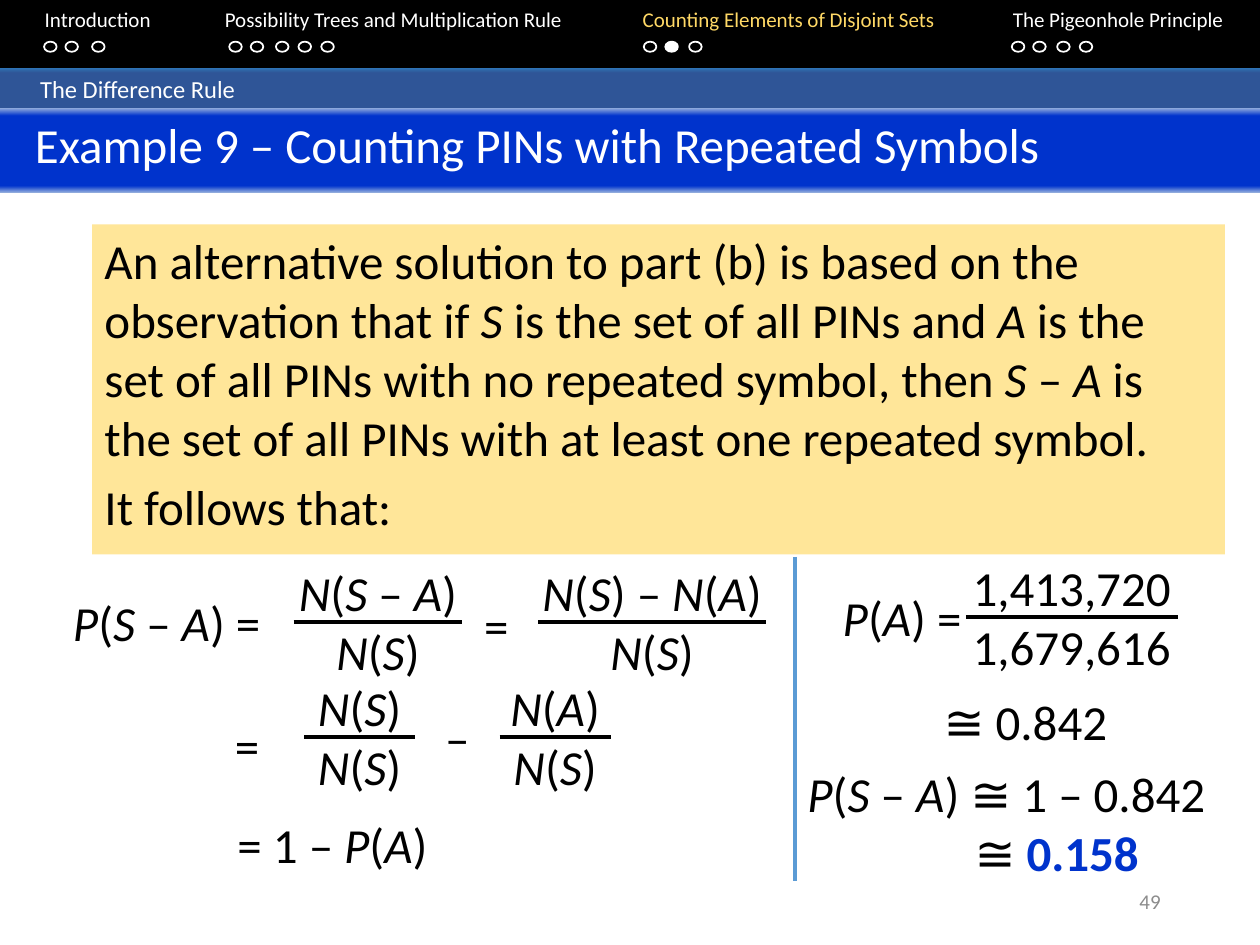
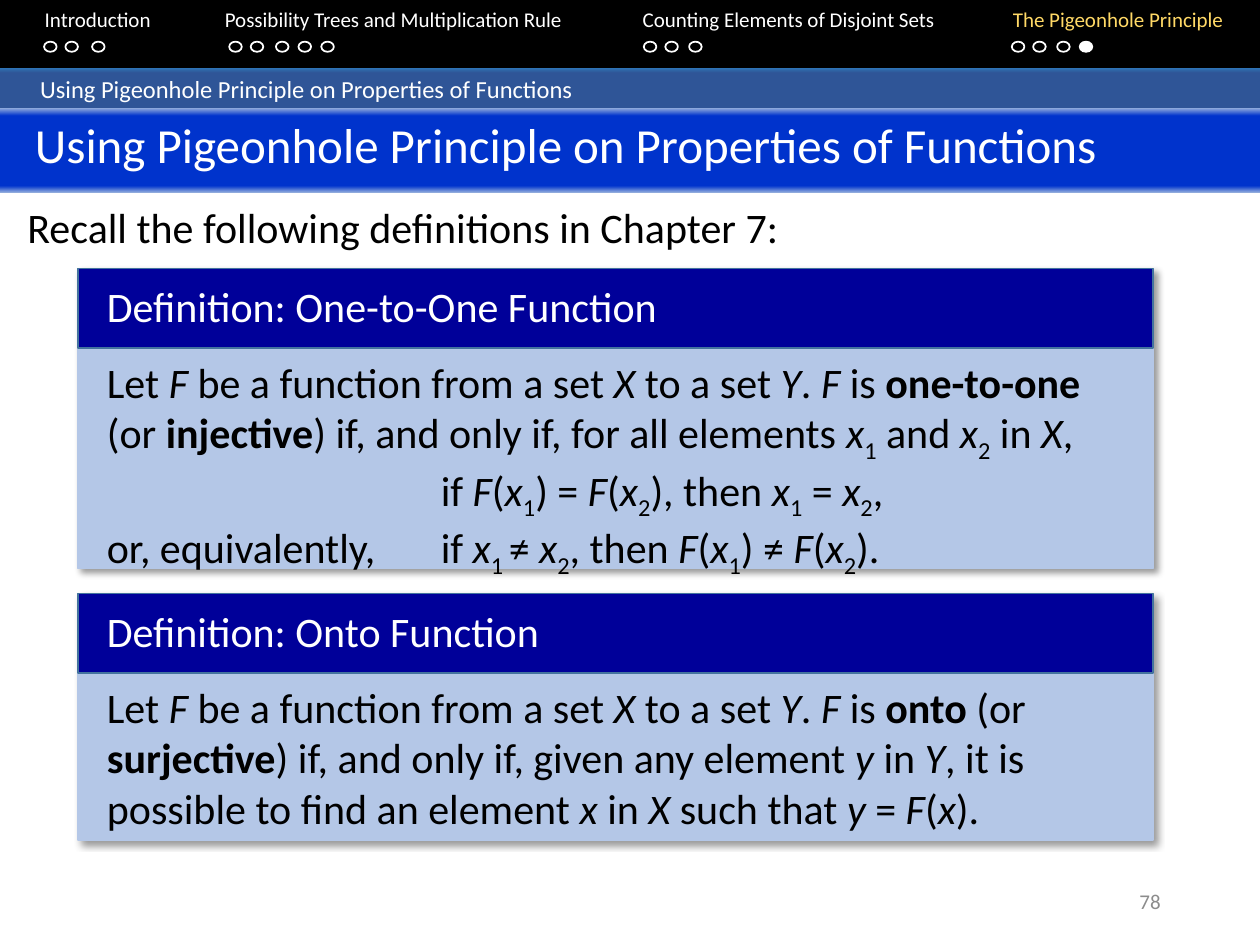
from lxml import etree
from pptx import Presentation
from pptx.dml.color import RGBColor
from pptx.enum.shapes import MSO_CONNECTOR, MSO_SHAPE
from pptx.enum.text import MSO_ANCHOR, PP_ALIGN
from pptx.oxml.ns import qn
from pptx.util import Pt

RECTANGLE, OVAL = MSO_SHAPE.RECTANGLE, MSO_SHAPE.OVAL
STRAIGHT = MSO_CONNECTOR.STRAIGHT
TOP, MIDDLE = MSO_ANCHOR.TOP, MSO_ANCHOR.MIDDLE
LEFT, CENTER, RIGHT = PP_ALIGN.LEFT, PP_ALIGN.CENTER, PP_ALIGN.RIGHT

BLACK = RGBColor(0x00, 0x00, 0x00)
WHITE = RGBColor(0xFF, 0xFF, 0xFF)
GRAY = RGBColor(0x8C, 0x8C, 0x8C)
GOLD = RGBColor(0xFF, 0xD9, 0x66)
CREAM = RGBColor(0xFF, 0xE6, 0x99)
ROYAL = RGBColor(0x00, 0x33, 0xCC)
PERIWINKLE = RGBColor(0x8F, 0xAA, 0xDC)
STEEL = RGBColor(0x2F, 0x55, 0x97)
STEEL_EDGE = RGBColor(0x2E, 0x75, 0xB6)
DIVIDER = RGBColor(0x5B, 0x9B, 0xD5)
NAVY = RGBColor(0x00, 0x00, 0x99)
NAVY_EDGE = RGBColor(0x43, 0x73, 0x9E)
PALE_BLUE = RGBColor(0xB4, 0xC7, 0xE7)

FONT = "Calibri"
WIDTH, HEIGHT = 720, 540
INSET = 7.2
MARKS = {"*": "italic", "^": "bold", "~": "subscript", "|": "accent"}
SECTIONS = [
    ("Introduction", (25.2, 37.4, 52.6)),
    ("Possibility Trees and Multiplication Rule", (131, 143.3, 157.7, 170.6, 183.6)),
    ("Counting Elements of Disjoint Sets", (367.9, 380.2, 393.8)),
    ("The Pigeonhole Principle", (578.2, 590.4, 604.1, 617)),
]
SECTION_TABS = (18.5, 121.4, 360.2, 571.7)


def add_element(parent, tag, **attributes):
    element = etree.SubElement(parent, qn(tag))
    for name, value in attributes.items():
        element.set(name, str(value))
    return element


def split_marks(text):
    """Yield each piece of text with the set of styles switched on by its marks."""
    active, piece = set(), ""
    for character in text:
        if character in MARKS:
            if piece:
                yield piece, set(active)
            piece = ""
            active ^= {MARKS[character]}
        else:
            piece += character
    if piece:
        yield piece, active


def write_text(shape, text, size=28, color=BLACK, accent=ROYAL, align=LEFT,
               anchor=TOP, inset=INSET, space_after=0, tabs=()):
    frame = shape.text_frame
    frame.word_wrap = True
    frame.vertical_anchor = anchor
    frame.margin_left = Pt(inset)
    for index, line in enumerate(text.split("\n")):
        paragraph = frame.add_paragraph() if index else frame.paragraphs[0]
        paragraph.alignment = align
        paragraph.space_after = Pt(space_after)
        if tabs:
            tab_list = add_element(paragraph._p.get_or_add_pPr(), "a:tabLst")
            for position in tabs:
                add_element(tab_list, "a:tab", pos=Pt(position), algn="l")
        for piece, styles in split_marks(line):
            run = paragraph.add_run()
            run.text = piece
            font = run.font
            font.name, font.size = FONT, Pt(size)
            font.italic = "italic" in styles
            font.bold = "bold" in styles
            font.color.rgb = accent if "accent" in styles else color
            if "subscript" in styles:
                run._r.get_or_add_rPr().set("baseline", "-25000")


class Deck:
    def __init__(self):
        self.presentation = Presentation()
        self.presentation.slide_width = Pt(WIDTH)
        self.presentation.slide_height = Pt(HEIGHT)
        self.slide = None

    def shape(self, left, top, width, height, fill=None, line=None, kind=RECTANGLE):
        shape = self.slide.shapes.add_shape(kind, Pt(left), Pt(top), Pt(width), Pt(height))
        shape.shadow.inherit = False
        if fill is None:
            shape.fill.background()
        else:
            shape.fill.solid()
            shape.fill.fore_color.rgb = fill
        if line is None:
            shape.line.fill.background()
        else:
            shape.line.color.rgb = line
            shape.line.width = Pt(1)
        return shape

    def text(self, text, left, top, width, height=41, **style):
        box = self.slide.shapes.add_textbox(Pt(left), Pt(top), Pt(width), Pt(height))
        write_text(box, text, **style)

    def line(self, start, end, color=BLACK):
        points = [Pt(value) for value in (*start, *end)]
        connector = self.slide.shapes.add_connector(STRAIGHT, *points)
        connector.line.color.rgb = color
        connector.line.width = Pt(2.25)
        add_element(connector._element.spPr, "a:effectLst")

    def band(self, text, top, height, edge, middle, stops, **style):
        band = self.shape(0, top, WIDTH, height, fill=middle)
        band.fill.gradient()
        band.fill.gradient_angle = 270
        stop_list = band._element.spPr.find(qn("a:gradFill")).find(qn("a:gsLst"))
        stop_list.clear()
        colors = (edge, middle, middle, edge)
        for percent, color in zip((0, *stops, 100), colors):
            stop = add_element(stop_list, "a:gs", pos=percent * 1000)
            add_element(stop, "a:srgbClr", val=color)
        write_text(band, text, color=WHITE, **style)

    def navigation(self, section, step):
        self.shape(0, -1.4, WIDTH, 40.3, fill=BLACK)
        titles = [f"|{title}|" if index == section else title
                  for index, (title, _) in enumerate(SECTIONS)]
        self.text("\t" + "\t".join(titles), 0, 0, WIDTH, 36, size=12,
                  color=WHITE, accent=GOLD, tabs=SECTION_TABS)
        for index, (_, dot_lefts) in enumerate(SECTIONS):
            for dot, left in enumerate(dot_lefts):
                fill = WHITE if (index, dot) == (section, step) else None
                self.shape(left, 23.8, 7.2, 5.8, fill, WHITE, OVAL)

    def start_slide(self, title, topic, number, section, step):
        self.slide = self.presentation.slides.add_slide(self.presentation.slide_layouts[6])
        self.navigation(section, step)
        self.band(topic, 38.9, 25.9, STEEL_EDGE, STEEL, (11, 91), size=14, inset=23)
        self.band(title, 61.9, 48.2, PERIWINKLE, ROYAL, (9, 92), size=28, inset=20)
        self.text(str(number), 508.3, 500.4, 162, 28.8, size=12, color=GRAY,
                  align=RIGHT, anchor=MIDDLE)

    def fraction(self, numerator, denominator, center, bar_top, bar_width):
        box_width = bar_width + 36
        self.text(f"{numerator}\n{denominator}", center - box_width / 2,
                  bar_top - 37.5, box_width, 75, align=CENTER)
        half = bar_width / 2
        self.line((center - half, bar_top), (center + half, bar_top))

    def definition(self, term, body, top, height):
        left, width, header_height = 44.6, 614.2, 45.4
        card = self.shape(left, top, width, height, PALE_BLUE, PALE_BLUE)
        effects = card._element.spPr.find(qn("a:effectLst"))
        shadow = add_element(effects, "a:outerShdw", blurRad=Pt(4), dist=Pt(3),
                             dir=45 * 60000, algn="tl", rotWithShape=0)
        color = add_element(shadow, "a:srgbClr", val=BLACK)
        add_element(color, "a:alpha", val=40000)
        self.shape(left, top, width, header_height, NAVY, NAVY_EDGE)
        self.text(f"Definition: {term}", 54, top + 3.6, 414.7, 36, size=24, color=WHITE)
        self.text(body, 54, top + 46.8, 592.6, height - 47, size=24, tabs=(190.8,))


def build_pin_slide(deck):
    deck.start_slide("Example 9 – Counting PINs with Repeated Symbols",
                     "The Difference Rule", 49, section=2, step=1)
    statement = deck.shape(52.6, 128.2, 647.3, 188.6, fill=CREAM)
    write_text(statement,
               "An alternative solution to part (b) is based on the observation that "
               "if *S* is the set of all PINs and *A* is the set of all PINs with no "
               "repeated symbol, then *S* – *A* is the set of all PINs with at least "
               "one repeated symbol.\nIt follows that:", space_after=6)

    first_bar, second_bar = 355.7, 421.2
    count_all, count_distinct = "*N*(*S*)", "*N*(*A*)"
    deck.text("*P*(*S* – *A*) =", 34.6, 334.8, 144.7)
    deck.fraction("*N*(*S* – *A*)", count_all, 216, first_bar, 96.5)
    deck.text("=", 259.9, 337, 47.5, align=CENTER)
    deck.fraction(f"{count_all} – {count_distinct}", count_all, 372.6, first_bar, 130.3)
    deck.text("=", 117.4, 405.4, 47.5, align=CENTER)
    deck.fraction(count_all, count_all, 205.5, second_bar, 63.4)
    deck.text("–", 237.6, 401, 47.5, align=CENTER)
    deck.fraction(count_distinct, count_all, 317.2, second_bar, 63.4)
    deck.text("= 1 – *P*(*A*)", 128.6, 462.2, 149.8)

    deck.text("*P*(*A*) =", 474.5, 331.9, 105.1)
    deck.fraction("1,413,720", "1,679,616", 612.4, 352.8, 121)
    deck.text("≅ 0.842", 532.1, 391.7, 128.9)
    deck.text("*P*(*S* – *A*) ≅ 1 – 0.842\n\t≅ |^0.158^|", 454.3, 432.7, 248.4, 75,
              tabs=(95.5,))
    deck.line((454.3, 318.2), (454.3, 503.3), DIVIDER)


def build_function_slide(deck):
    topic = "Using Pigeonhole Principle on Properties of Functions"
    deck.start_slide(topic, topic, 78, section=3, step=3)
    deck.text("Recall the following definitions in Chapter 7:", 8.6, 111.6, 625.7, 43.9,
              size=24, space_after=12)
    opening = "Let *F* be a function from a set *X* to a set *Y*. *F* is "
    deck.definition(
        "One-to-One Function",
        opening + "^one-to-one ^(or ^injective^) if, and only if, for all elements "
        "*x*~1~ and *x*~2~ in *X*,\n"
        "\tif *F*(*x*~1~) = *F*(*x*~2~), then *x*~1~ = *x*~2~,\n"
        "or, equivalently, \tif *x*~1 ~≠ *x*~2~, then *F*(*x*~1~) ≠ *F*(*x*~2~).",
        153.4, 171.4)
    deck.definition(
        "Onto Function",
        opening + "^onto ^(or ^surjective^) if, and only if, given any element *y* in *Y*, "
        "it is possible to find an element *x* in *X* such that *y* = *F*(*x*).",
        339.1, 141.1)


def main():
    deck = Deck()
    build_pin_slide(deck)
    build_function_slide(deck)
    deck.presentation.save("out.pptx")


if __name__ == "__main__":
    main()
